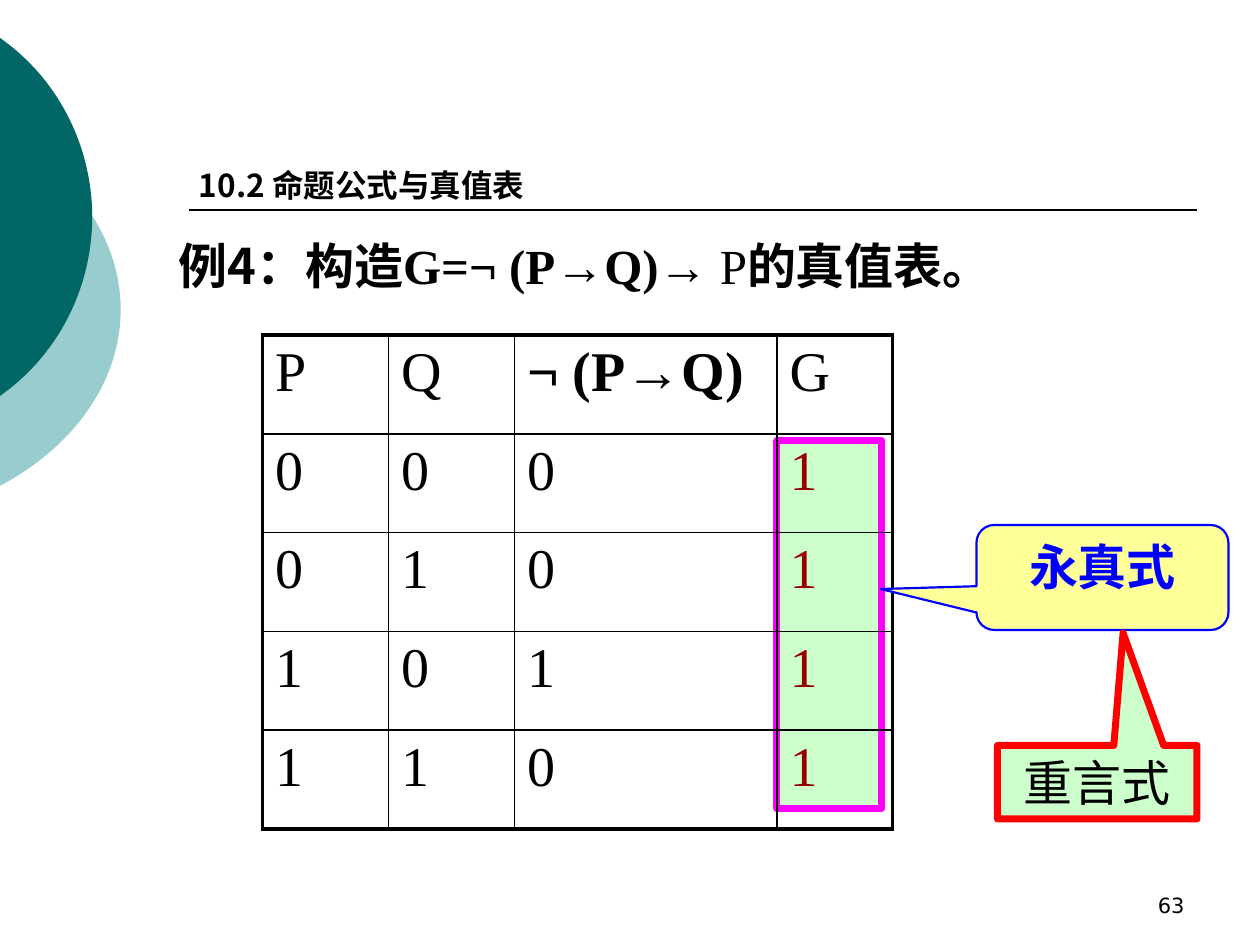
from math import acos, cos, sin

from lxml.etree import SubElement
from pptx import Presentation
from pptx.dml.color import RGBColor
from pptx.enum.shapes import MSO_CONNECTOR as Connector, MSO_SHAPE as Shape
from pptx.enum.text import MSO_ANCHOR as Anchor, MSO_AUTO_SIZE as AutoSize, PP_ALIGN as Align
from pptx.oxml.ns import qn
from pptx.util import Pt

COLORS = {
    "black": "000000", "teal": "006666", "pale_teal": "99CCCC",
    "green": "CCFFCC", "magenta": "FF00FF", "yellow": "FFFF99",
    "blue": "0000FF", "red": "FF0000", "dark_red": "990000",
}
SERIF, SANS = "Times New Roman", "DejaVu Sans"
CJK_JP, CJK_SC = "Noto Sans CJK JP", "Noto Sans CJK SC"


def rgb(color):
    return RGBColor.from_string(COLORS[color])


class SlideBuilder:
    """Holds the slide and the shared style; all lengths are points."""

    def __init__(self, slide):
        self.slide = slide
        self.shapes = slide.shapes

    def fill_frame(self, frame, runs, size, align=Align.LEFT, anchor=Anchor.TOP):
        """Fill a text frame; each run is (text, font, bold, color)."""
        frame.word_wrap = True
        frame.vertical_anchor = anchor
        self.add_runs(frame.paragraphs[0], runs, size, align)

    def add_runs(self, paragraph, runs, size, align=Align.LEFT):
        paragraph.alignment = align
        for text, typeface, bold, color in runs:
            run = paragraph.add_run()
            run.text = text
            font = run.font
            font.size, font.bold, font.name = Pt(size), bold, typeface
            font.color.rgb = rgb(color)
            SubElement(font._element, qn("a:ea"), typeface=typeface)

    def title(self, box, runs, size):
        heading = self.shapes.title
        heading.left, heading.top, heading.width, heading.height = map(Pt, box)
        heading.text_frame.auto_size = AutoSize.NONE
        self.fill_frame(heading.text_frame, runs, size)

    def text(self, box, runs, size, **layout):
        frame = self.shapes.add_textbox(*map(Pt, box)).text_frame
        self.fill_frame(frame, runs, size, **layout)

    def paint(self, shape, fill, line=None, width=0):
        shape.shadow.inherit = False
        shape.fill.solid()
        shape.fill.fore_color.rgb = rgb(fill)
        if line:
            shape.line.color.rgb = rgb(line)
            shape.line.width = Pt(width)
        else:
            shape.line.fill.background()

    def shape(self, kind, box, fill, line, width, adjust=()):
        shape = self.shapes.add_shape(kind, *map(Pt, box))
        for index, value in enumerate(adjust):
            shape.adjustments[index] = value
        self.paint(shape, fill, line, width)
        return shape

    def callout(self, kind, box, fill, line, width, adjust, run, anchor):
        shape = self.shape(kind, box, fill, line, width, adjust)
        self.fill_frame(shape.text_frame, [run], 28, Align.CENTER, anchor)

    def edge_arc(self, center_x, center_y, radius_x, radius_y, fill, steps=60):
        """Part of an ellipse that lies right of the slide's left edge."""
        limit = acos(-center_x / radius_x)
        angles = [limit * (2 * i / steps - 1) for i in range(steps + 1)]
        points = [(Pt(max(0, center_x + radius_x * cos(a))),
                   Pt(center_y + radius_y * sin(a))) for a in angles]
        outline = self.shapes.build_freeform(*points[0])
        outline.add_line_segments(points[1:], close=True)
        self.paint(outline.convert_to_shape(), fill)

    def rule(self, x1, x2, y):
        line = self.shapes.add_connector(Connector.STRAIGHT, Pt(x1), Pt(y), Pt(x2), Pt(y))
        line.line.color.rgb = rgb("black")
        line.line.width = Pt(1)
        SubElement(line._element.spPr, qn("a:effectLst"))

    def border(self, cell, widths):
        props = cell._tc.get_or_add_tcPr()
        for side, width in widths.items():
            line = SubElement(props, qn(f"a:ln{side}"), w=str(Pt(width)))
            fill = SubElement(line, qn("a:solidFill"))
            SubElement(fill, qn("a:srgbClr"), val=COLORS["black"])

    def table(self, left, top, widths, row_height, rows):
        last_row, last_col = len(rows) - 1, len(widths) - 1
        table = self.shapes.add_table(
            len(rows), len(widths), Pt(left), Pt(top),
            Pt(sum(widths)), Pt(row_height * len(rows))).table
        table.first_row = table.horz_banding = False
        for column, width in zip(table.columns, widths):
            column.width = Pt(width)
        for r, values in enumerate(rows):
            table.rows[r].height = Pt(row_height)
            for c, value in enumerate(values):
                cell = table.cell(r, c)
                # Thick outer frame, thin inner grid
                outer = {"L": c == 0, "R": c == last_col, "T": r == 0, "B": r == last_row}
                self.border(cell, {side: 2.25 if edge else 1 for side, edge in outer.items()})
                cell.fill.background()
                color = "dark_red" if r and c == last_col else "black"
                self.add_runs(cell.text_frame.paragraphs[0],
                              [(value, SERIF, len(value) > 1, color)], 32)


def main():
    prs = Presentation()
    prs.slide_width, prs.slide_height = Pt(720), Pt(540)
    page = SlideBuilder(prs.slides.add_slide(prs.slide_layouts[5]))

    # Decoration on the left edge and the heading rule
    page.edge_arc(-93, 177, 162, 123, "pale_teal")
    page.edge_arc(-69, 124, 121.7, 124.2, "teal")
    page.rule(108, 684, 120)

    # Section heading and example
    page.title((106.5, 91.5, 259, 29.5),
               [("10.2 命题公式与真值表", CJK_SC, True, "black")], 18)
    page.text((95, 131, 601, 41), [
        ("例4：构造", CJK_JP, True, "black"),
        ("G=¬ (P→Q)→", SERIF, True, "black"),
        (" P", SERIF, False, "black"),
        ("的真值表。", CJK_JP, True, "black"),
    ], 28)

    # Truth table over the highlighted result column
    page.shape(Shape.RECTANGLE, (444, 252, 60, 210), "green", "magenta", 4)
    page.table(150, 191.5, (72, 72, 150, 66), 56.45, [
        ("P", "Q", "¬ (P→Q)", "G"),
        "0001", "0101", "1011", "1101",
    ])

    # Names of the result
    page.callout(Shape.ROUNDED_RECTANGULAR_CALLOUT, (558, 300, 144, 60),
                 "yellow", "blue", 1.25, (-0.88, 0.11, 0.17),
                 ("永真式", SANS, True, "blue"), Anchor.TOP)
    page.callout(Shape.RECTANGULAR_CALLOUT, (570, 426, 114, 42),
                 "green", "red", 4, (0.13, -2.03),
                 ("重言式", SANS, False, "black"), Anchor.MIDDLE)

    # Page number
    page.text((516, 492, 168, 36), [("63", SANS, False, "black")], 12,
              align=Align.RIGHT, anchor=Anchor.BOTTOM)

    prs.save("out.pptx")


if __name__ == "__main__":
    main()
